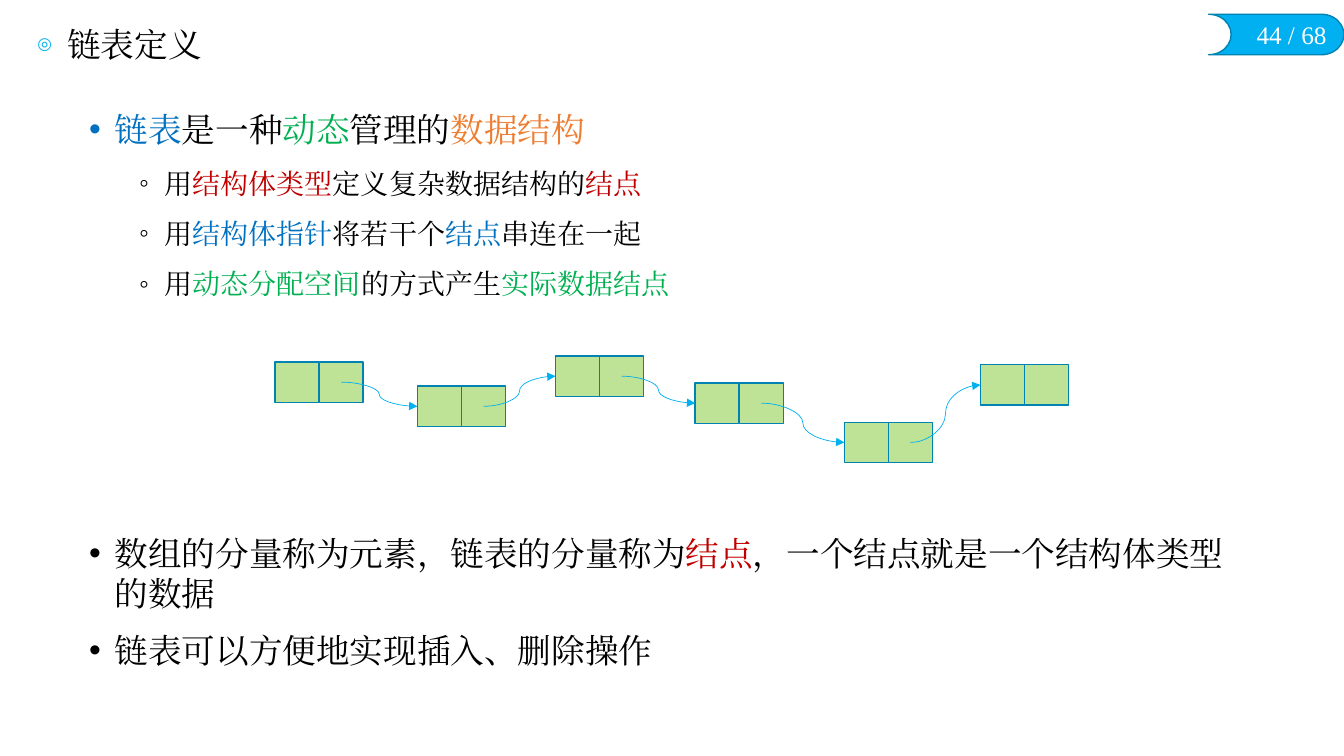
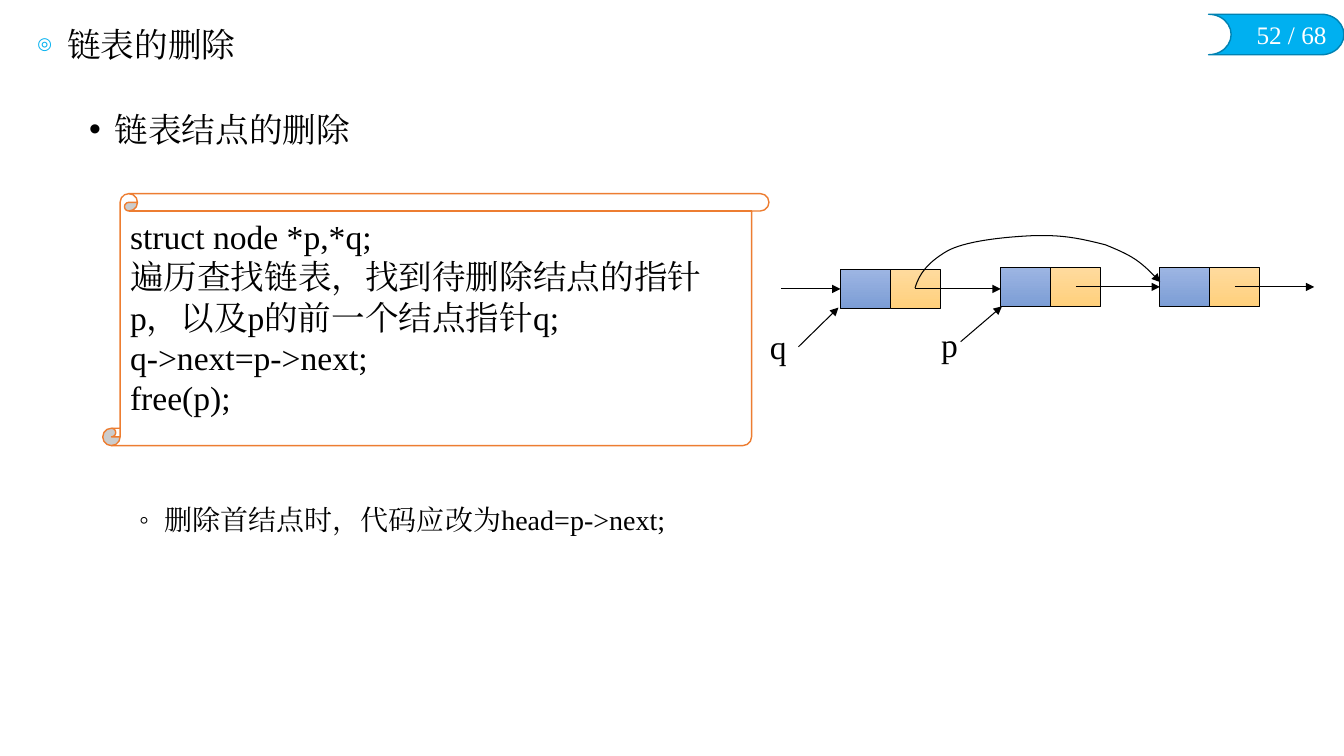
from lxml import etree
from pptx import Presentation
from pptx.dml.color import RGBColor
from pptx.enum.shapes import MSO_CONNECTOR, MSO_SHAPE
from pptx.enum.text import MSO_ANCHOR, PP_ALIGN
from pptx.oxml.ns import qn
from pptx.util import Cm, Pt

RECTANGLE = MSO_SHAPE.RECTANGLE
SCROLL = MSO_SHAPE.VERTICAL_SCROLL
PAGE_TAG = MSO_SHAPE.FLOWCHART_STORED_DATA
STRAIGHT = MSO_CONNECTOR.STRAIGHT
CURVE = MSO_CONNECTOR.CURVE
TOP, MIDDLE = MSO_ANCHOR.TOP, MSO_ANCHOR.MIDDLE
LEFT, RIGHT = PP_ALIGN.LEFT, PP_ALIGN.RIGHT

FONT = "Times New Roman"
BLACK, WHITE = "000000", "FFFFFF"
SKY, TEAL, LIME = "00B0F0", "0082B2", "BEE396"
BLUE, GREEN, RED, ORANGE = "0070C0", "00B050", "C00000", "ED7D31"
DATA_FILL, LINK_FILL = ("9DB5E3", "7C9DD5"), ("FFDB9E", "FFD07C")
PAGE_COUNT = 68
BULLETS = (("•", 0.64, 24), ("◦", 1.9, 20))


def rgb(value):
    return RGBColor.from_string(value)


class Lecture:
    """Holds the lecture style and the page being drawn."""

    def __init__(self):
        self.deck = Presentation()
        self.deck.slide_width, self.deck.slide_height = Cm(33.87), Cm(19.05)
        self.page = None

    def start_page(self, title, number):
        self.page = self.deck.slides.add_slide(self.deck.slide_layouts[6])
        tag = self.shape(PAGE_TAG, 30.46, 0.36, 3.41, 1.02, SKY, TEAL)
        tag._element.spPr.find(qn("a:xfrm")).set("flipH", "1")
        self.label(f"{number} / {PAGE_COUNT}", 30.46, 0.36, 3.22, 1.02, 18, WHITE, RIGHT)
        box = self.label(title, 0.69, 0.58, 16.18, 1.17, anchor=MIDDLE)
        para = box.text_frame.paragraphs[0]
        self.bullet(para, "◎", 0.76, 0.76, SKY, 50)
        para.line_spacing = 0.9

    def style(self, span, size, color):
        span.font.size, span.font.name = Pt(size), FONT
        span.font.color.rgb = rgb(color)
        east_asian = etree.Element(qn("a:ea"), typeface=FONT)
        span.font._element.find(qn("a:latin")).addnext(east_asian)

    def bullet(self, para, mark, margin, hanging, color=None, percent=100):
        props = para._p.get_or_add_pPr()
        props.set("marL", str(Cm(margin)))
        props.set("indent", str(-Cm(hanging)))
        if color:
            holder = etree.SubElement(props, qn("a:buClr"))
            etree.SubElement(holder, qn("a:srgbClr"), val=color)
        etree.SubElement(props, qn("a:buSzPct"), val=str(percent * 1000))
        etree.SubElement(props, qn("a:buFont"), typeface="Arial")
        etree.SubElement(props, qn("a:buChar"), char=mark)

    def text_box(self, left, top, width, height):
        box = self.page.shapes.add_textbox(Cm(left), Cm(top), Cm(width), Cm(height))
        box.text_frame.word_wrap = True
        return box

    def label(self, text, left, top, width, height, size=24, color=BLACK,
              align=LEFT, anchor=TOP):
        box = self.text_box(left, top, width, height)
        box.text_frame.vertical_anchor = anchor
        self.fill_text(box.text_frame, text, size, color, align)
        return box

    def fill_text(self, frame, text, size, color, align=LEFT):
        frame.text = text
        for para in frame.paragraphs:
            para.alignment = align
            for span in para.runs:
                self.style(span, size, color)

    def points(self, top, height, items):
        frame = self.text_box(2, top, 29.75, height).text_frame
        for index, (level, spans) in enumerate(items):
            para = frame.add_paragraph() if index else frame.paragraphs[0]
            mark, margin, size = BULLETS[level]
            para.level = level
            self.bullet(para, mark, margin, 0.64)
            para.space_before, para.space_after = Pt(6 if index else 0), Pt(6)
            for text, color in spans:
                span = para.add_run()
                span.text = text
                self.style(span, size, color)

    def shape(self, kind, left, top, width, height, fill, line, weight=1, parent=None):
        shapes = (parent or self.page).shapes
        shape = shapes.add_shape(kind, Cm(left), Cm(top), Cm(width), Cm(height))
        shape.shadow.inherit = False
        if isinstance(fill, tuple):
            shape.fill.gradient()
            shape.fill.gradient_angle = 270
            for stop, color in zip(shape.fill.gradient_stops, fill):
                stop.color.rgb = rgb(color)
        else:
            shape.fill.solid()
            shape.fill.fore_color.rgb = rgb(fill)
        shape.line.color.rgb, shape.line.width = rgb(line), Pt(weight)
        return shape

    def node(self, left, top, cell, height, fills, line, weight):
        group = self.page.shapes.add_group_shape()
        for index, fill in enumerate(fills):
            self.shape(RECTANGLE, left + index * cell, top, cell, height,
                       fill, line, weight, group)

    def point_line(self, line, color, weight):
        line.color.rgb, line.width = rgb(color), Pt(weight)
        etree.SubElement(line._get_or_add_ln(), qn("a:tailEnd"), type="triangle")

    def arrow(self, start, end, kind=STRAIGHT, color=BLACK, weight=0.75):
        ends = [Cm(value) for value in (*start, *end)]
        connector = self.page.shapes.add_connector(kind, *ends)
        self.point_line(connector.line, color, weight)
        etree.SubElement(connector._element.spPr, qn("a:effectLst"))

    def bezier_arrow(self, start, points):
        builder = self.page.shapes.build_freeform(Cm(start[0]), Cm(start[1]))
        builder.add_line_segments([(Cm(x), Cm(y)) for x, y in points], close=False)
        shape = builder.convert_to_shape()
        shape.shadow.inherit = False
        shape.fill.background()
        self.point_line(shape.line, BLACK, 0.75)
        steps = list(shape._element.iter(qn("a:lnTo")))
        for first in range(0, len(steps), 3):
            curve = etree.Element(qn("a:cubicBezTo"))
            steps[first].addprevious(curve)
            for step in steps[first:first + 3]:
                curve.append(step[0])
                step.getparent().remove(step)

    def scroll(self, text, left, top, width, height):
        shape = self.shape(SCROLL, left, top, width, height, WHITE, ORANGE)
        shape.adjustments[0] = 0.069
        shape.text_frame.word_wrap = True
        shape.text_frame.vertical_anchor = TOP
        self.fill_text(shape.text_frame, text, 24, BLACK)


def definition_page(lecture):
    lecture.start_page("链表定义", 44)
    lecture.points(2.62, 5.4, [
        (0, [("链表", BLUE), ("是一种", BLACK), ("动态", GREEN),
             ("管理的", BLACK), ("数据结构", ORANGE)]),
        (1, [("用", BLACK), ("结构体类型", RED),
             ("定义复杂数据结构的", BLACK), ("结点", RED)]),
        (1, [("用", BLACK), ("结构体指针", BLUE), ("将若干个", BLACK),
             ("结点", BLUE), ("串连在一起", BLACK)]),
        (1, [("用", BLACK), ("动态分配空间", GREEN),
             ("的方式产生", BLACK), ("实际数据结点", GREEN)]),
    ])
    lecture.points(13.3, 4.7, [
        (0, [("数组的分量称为元素，链表的分量称为", BLACK), ("结点", RED),
             ("，一个结点就是一个结构体类型的数据", BLACK)]),
        (0, [("链表可以方便地实现插入、删除操作", BLACK)]),
    ])
    cell, height = 1.11, 1.02
    nodes = [(6.93, 9.12), (10.52, 9.73), (14, 8.97),
             (17.52, 9.65), (21.28, 10.64), (24.71, 9.19)]
    for left, top in nodes:
        lecture.node(left, top, cell, height, (LIME, LIME), TEAL, 1)
    for (left, top), (next_left, next_top) in zip(nodes, nodes[1:]):
        lecture.arrow((left + 1.5 * cell, top + height / 2),
                      (next_left, next_top + height / 2), CURVE, SKY, 0.5)


def deletion_page(lecture):
    lecture.start_page("链表的删除", 52)
    lecture.points(2.62, 1.4, [(0, [("链表结点的删除", BLACK)])])
    lecture.points(12.55, 1.3, [(1, [("删除首结点时，代码应改为head=p->next;", BLACK)])])
    lecture.scroll("struct node *p,*q;\n"
                   "遍历查找链表，找到待删除结点的指针p，以及p的前一个结点指针q;\n"
                   "q->next=p->next;\n"
                   "free(p);", 2.59, 4.88, 16.79, 6.35)
    cell, height = 1.26, 1
    nodes = [(21.18, 6.78), (25.22, 6.73), (29.23, 6.73)]
    for left, top in nodes:
        lecture.node(left, top, cell, height, (DATA_FILL, LINK_FILL), BLACK, 0.5)
    lecture.arrow((19.68, 7.28), (21.18, 7.28))
    targets = [left for left, top in nodes[1:]] + [33.12]
    for (left, top), target in zip(nodes, targets):
        middle = top + height / 2
        lecture.arrow((left + 1.5 * cell, middle), (target, middle))
    lecture.bezier_arrow((23.06, 7.26), [
        (23.16, 6.91), (23.37, 6.63), (23.83, 6.35),
        (24.28, 6.07), (25.35, 5.97), (26.01, 5.94),
        (26.7, 5.92), (27.08, 5.97), (27.86, 6.17),
        (28.5, 6.43), (28.75, 6.58), (29.24, 7.11),
    ])
    lecture.label("q", 19.15, 8.1, 1.04, 1.27)
    lecture.arrow((20.12, 8.74), (21.13, 7.75))
    lecture.label("p", 23.47, 8.05, 1.04, 1.27)
    lecture.arrow((24.21, 8.61), (25.25, 7.72))


def main():
    lecture = Lecture()
    definition_page(lecture)
    deletion_page(lecture)
    lecture.deck.save("out.pptx")


if __name__ == "__main__":
    main()
